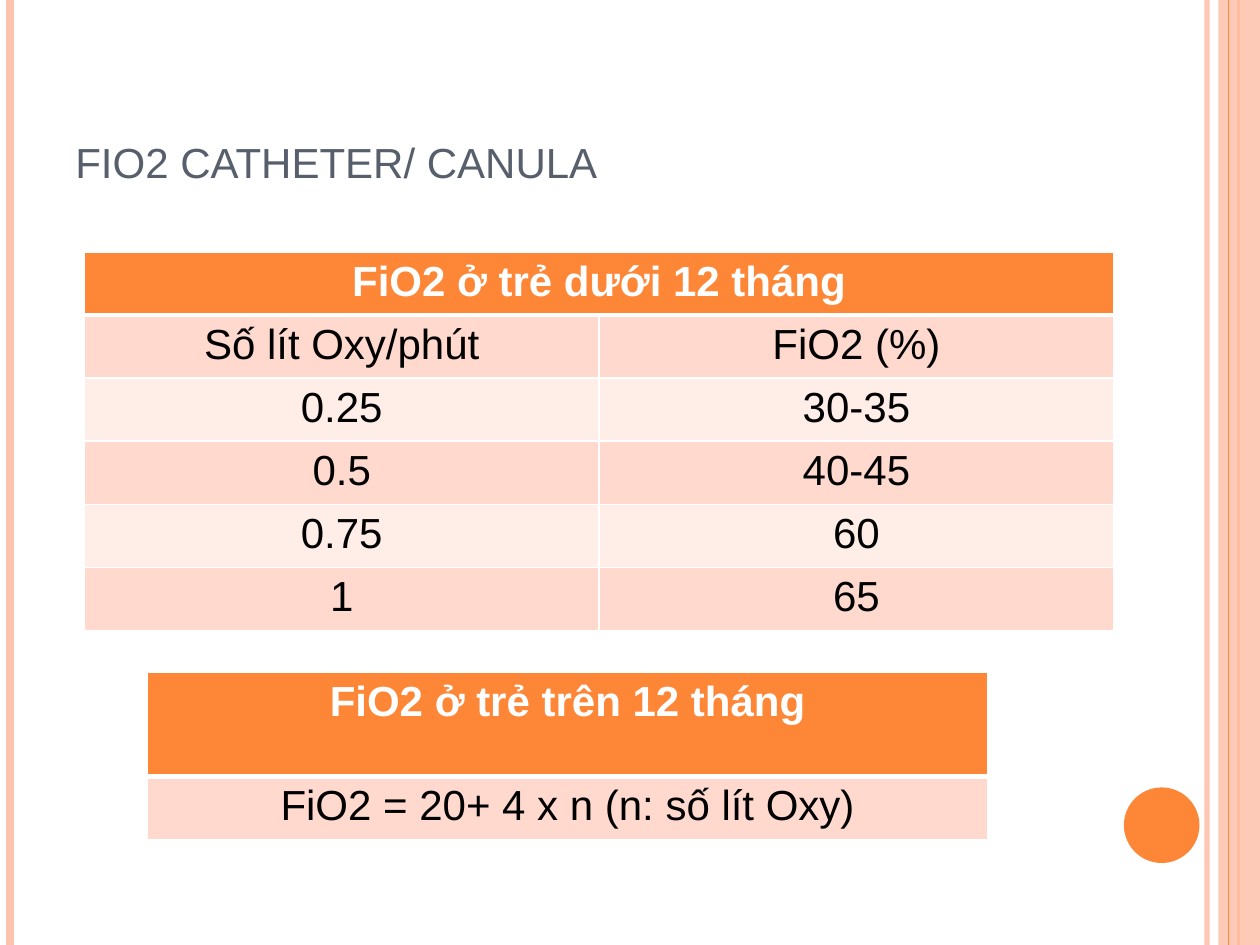
from lxml import etree
from pptx import Presentation
from pptx.dml.color import RGBColor
from pptx.enum.shapes import MSO_CONNECTOR, MSO_SHAPE
from pptx.enum.text import MSO_ANCHOR, PP_ALIGN
from pptx.oxml.ns import qn
from pptx.util import Inches, Pt

LEFT, CENTER = PP_ALIGN.LEFT, PP_ALIGN.CENTER
BOTTOM = MSO_ANCHOR.BOTTOM
STRAIGHT = MSO_CONNECTOR.STRAIGHT
RECT, OVAL = MSO_SHAPE.RECTANGLE, MSO_SHAPE.OVAL

ORANGE = RGBColor(0xFE, 0x86, 0x37)
PEACH = RGBColor(0xFE, 0xC3, 0xAE)
BAND_DARK = RGBColor(0xFF, 0xD9, 0xCE)
BAND_LIGHT = RGBColor(0xFF, 0xED, 0xE8)
SLATE = RGBColor(0x57, 0x5F, 0x6D)
BLACK = RGBColor(0, 0, 0)
WHITE = RGBColor(0xFF, 0xFF, 0xFF)


def write(tf, text, size=24, color=BLACK, bold=False, align=CENTER, caps=None):
    p = tf.paragraphs[0]
    p.alignment = align
    r = p.add_run()
    r.text = text
    r.font.name = "Arial"
    r.font.size = Pt(size)
    r.font.bold = bold
    r.font.color.rgb = color
    if caps:
        r._r.get_or_add_rPr().set("cap", caps)


def set_alpha(fill_parent, percent):
    clr = next(fill_parent.iter(qn("a:srgbClr")))
    etree.SubElement(clr, qn("a:alpha")).set("val", str(percent * 1000))


prs = Presentation()
prs.slide_width, prs.slide_height = Inches(10), Inches(7.5)
W, H = prs.slide_width, prs.slide_height
s = prs.slides.add_slide(prs.slide_layouts[6])

band = None
for x, color, width, alpha in [
    (0.958, PEACH, 3, 93),
    (0.008, PEACH, 4.5, 100),
    (0.983, ORANGE, 1.5, 100),
    (0.975, ORANGE, 0.75, 100),
]:
    if x == 0.975:
        band = s.shapes.add_shape(RECT, int(W * 0.967), 0, int(W * 0.033), H)
        band.shadow.inherit = False
        band.fill.solid()
        band.fill.fore_color.rgb = PEACH
        band.line.fill.background()
        set_alpha(band._element.spPr, 87)
    ln = s.shapes.add_connector(STRAIGHT, int(W * x), 0, int(W * x), H)
    ln.line.color.rgb = color
    ln.line.width = Pt(width)
    if alpha < 100:
        set_alpha(ln._element.spPr, alpha)
    etree.SubElement(ln._element.spPr, qn("a:effectLst"))

dot = s.shapes.add_shape(OVAL, int(W * 0.892), int(H * 0.8333), int(W * 0.06), int(H * 0.08))
dot.shadow.inherit = False
dot.fill.solid()
dot.fill.fore_color.rgb = ORANGE
dot.line.fill.background()

title = s.shapes.add_textbox(int(W * 0.05), int(H * 0.04), int(W * 0.817), int(H * 0.1667))
tf = title.text_frame
tf.word_wrap = True
tf.vertical_anchor = BOTTOM
write(tf, "fio2 catheter/ canula", size=30, color=SLATE, align=LEFT, caps="small")

infant_rows = [
    ("FiO2 ở trẻ dưới 12 tháng", ""),
    ("Số lít Oxy/phút", "FiO2 (%)"),
    ("0.25", "30-35"),
    ("0.5", "40-45"),
    ("0.75", "60"),
    ("1", "65"),
]
child_rows = [("FiO2 ở trẻ trên 12 tháng",), ("FiO2 = 20+ 4 x n (n: số lít Oxy)",)]

for rows, x, y, width, heights in [
    (infant_rows, 0.067, 0.2667, 0.817, [0.46, 0.47, 0.5, 0.47, 0.47, 0.47]),
    (child_rows, 0.117, 0.711, 0.667, [0.83, 0.47]),
]:
    n = len(rows[0])
    frame = s.shapes.add_table(len(rows), n, int(W * x), int(H * y), int(W * width), Inches(sum(heights)))
    tbl = frame.table
    if n > 1:
        tbl.cell(0, 0).merge(tbl.cell(0, n - 1))
    for i, (texts, height) in enumerate(zip(rows, heights)):
        tbl.rows[i].height = Inches(height)
        header = i == 0
        for j, text in enumerate(texts):
            cell = tbl.cell(i, j)
            tcPr = cell._tc.get_or_add_tcPr()
            for side in ("L", "R", "T", "B"):
                thick = (header and side == "B") or (i == 1 and side == "T")
                edge = etree.SubElement(tcPr, qn(f"a:ln{side}"), w=str(Pt(3 if thick else 1)))
                fill = etree.SubElement(edge, qn("a:solidFill"))
                etree.SubElement(fill, qn("a:srgbClr"), val=str(WHITE))
            cell.fill.solid()
            cell.fill.fore_color.rgb = ORANGE if header else (BAND_DARK if i % 2 else BAND_LIGHT)
            if text:
                write(cell.text_frame, text, color=WHITE if header else BLACK, bold=header)

prs.save("out.pptx")
